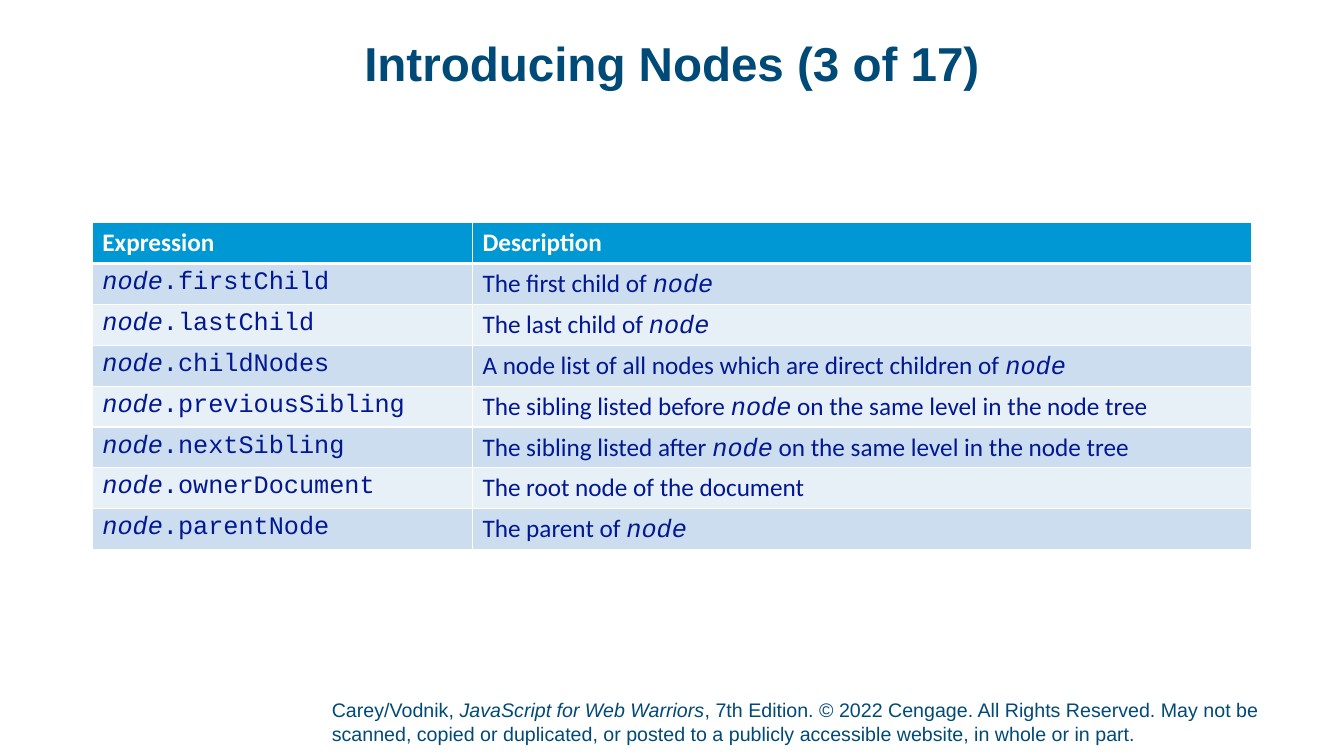
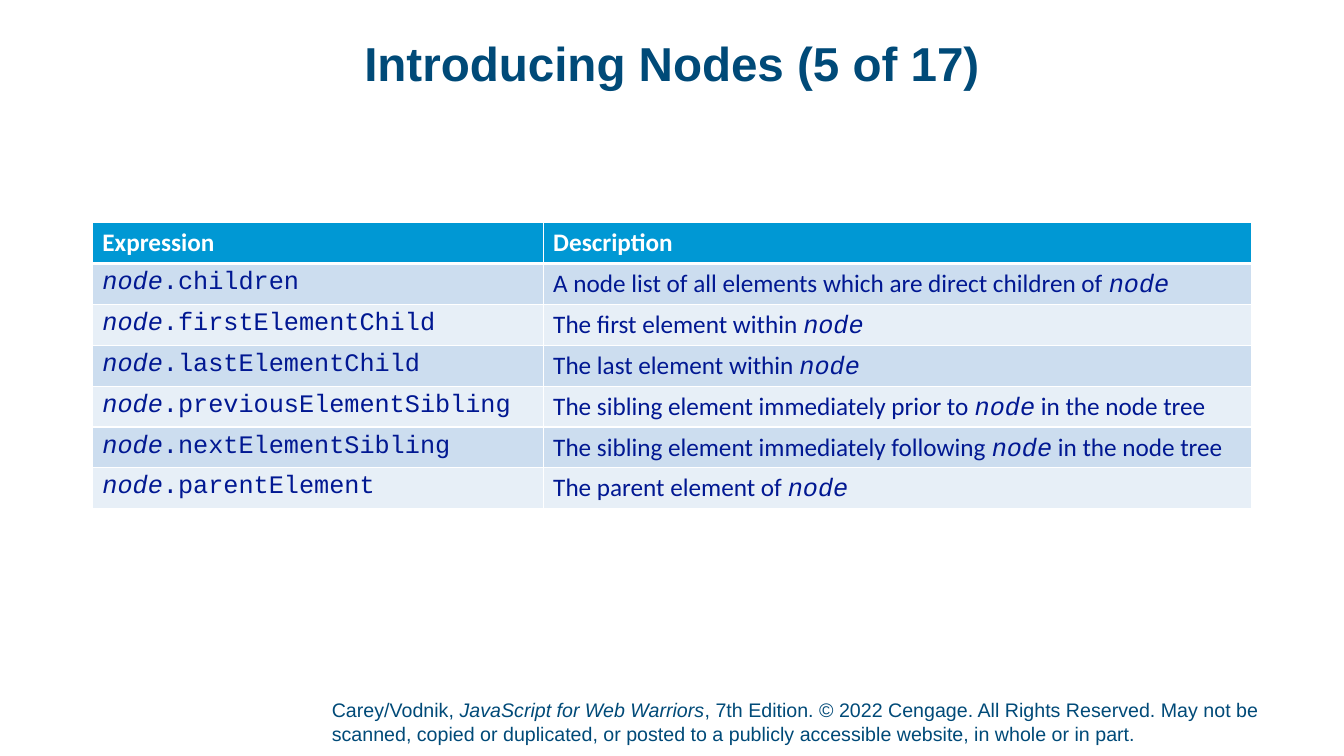
from dataclasses import dataclass

from lxml import etree
from pptx import Presentation
from pptx.dml.color import RGBColor
from pptx.enum.text import MSO_ANCHOR, MSO_AUTO_SIZE, PP_ALIGN
from pptx.oxml.ns import qn
from pptx.util import Pt

TOP, BOTTOM = MSO_ANCHOR.TOP, MSO_ANCHOR.BOTTOM
FIXED, GROW = MSO_AUTO_SIZE.NONE, MSO_AUTO_SIZE.SHAPE_TO_FIT_TEXT
CENTER = PP_ALIGN.CENTER
TITLE_ONLY = 5


@dataclass(frozen=True)
class Theme:
    """Colours, fonts, type sizes and shared margins of the slides."""

    ink: str = "004A78"
    table_ink: str = "011892"
    header: str = "0098D4"
    bands: tuple = ("CCDDEF", "E7EFF7")
    white: str = "FFFFFF"
    heading_font: str = "Arial"
    table_font: str = "Calibri"
    code_font: str = "Courier New"
    title_size: int = 34
    table_size: int = 18
    footer_size: int = 14
    left: int = 66
    width: int = 828
    row_height: float = 29.2
    thin: int = 1
    thick: int = 3


FOOTER = (
    "Carey/Vodnik, *JavaScript for Web Warriors*, 7th Edition. © 2022 Cengage. "
    "All Rights Reserved. May not be scanned, copied or duplicated, or posted to "
    "a publicly accessible website, in whole or in part."
)

SLIDES = [
    ("Introducing Nodes (3 of 17)", 271.5, [
        ("firstChild", "The first child of *node*"),
        ("lastChild", "The last child of *node*"),
        ("childNodes", "A node list of all nodes which are direct children of *node*"),
        ("previousSibling", "The sibling listed before *node* on the same level in the node tree"),
        ("nextSibling", "The sibling listed after *node* on the same level in the node tree"),
        ("ownerDocument", "The root node of the document"),
        ("parentNode", "The parent of *node*"),
    ]),
    ("Introducing Nodes (5 of 17)", 322, [
        ("children", "A node list of all elements which are direct children of *node*"),
        ("firstElementChild", "The first element within *node*"),
        ("lastElementChild", "The last element within *node*"),
        ("previousElementSibling", "The sibling element immediately prior to *node* in the node tree"),
        ("nextElementSibling", "The sibling element immediately following *node* in the node tree"),
        ("parentElement", "The parent element of *node*"),
    ]),
]


class Deck:
    """Builds slides in one style, element by element."""

    def __init__(self, theme):
        """Open an empty widescreen presentation."""
        self.theme = theme
        self.presentation = Presentation()
        self.presentation.slide_width = Pt(960)
        self.presentation.slide_height = Pt(540)
        self.slide = None

    def add_slide(self, title):
        """Start a slide with its title and footer."""
        layout = self.presentation.slide_layouts[TITLE_ONLY]
        self.slide = self.presentation.slides.add_slide(layout)
        self.add_title(title)
        self.add_footer()

    def place(self, shape, left, top, width, height):
        """Move and size a shape."""
        shape.left, shape.top = Pt(left), Pt(top)
        shape.width, shape.height = Pt(width), Pt(height)

    def set_frame(self, frame, anchor, fit, bottom=0):
        """Set the margins, anchor and fit of a text frame."""
        frame.word_wrap = True
        frame.auto_size = fit
        frame.vertical_anchor = anchor
        frame.margin_left = frame.margin_right = frame.margin_top = Pt(0)
        frame.margin_bottom = Pt(bottom)

    def add_text(self, paragraph, text, size, color, font, italic_font=None, bold=False):
        """Add text whose parts between asterisks are italic."""
        for index, part in enumerate(text.split("*")):
            if not part:
                continue
            italic = index % 2 == 1
            run = paragraph.add_run()
            run.text = part
            run.font.name = italic_font if italic and italic_font else font
            run.font.size = Pt(size)
            run.font.bold = bold
            run.font.italic = italic
            run.font.color.rgb = RGBColor.from_string(color)

    def add_title(self, text):
        """Fill the title placeholder."""
        theme = self.theme
        title = self.slide.shapes.title
        self.place(title, theme.left, 28.8, theme.width, 53.3)
        self.set_frame(title.text_frame, TOP, FIXED)
        paragraph = title.text_frame.paragraphs[0]
        paragraph.alignment = CENTER
        paragraph.line_spacing = 0.9
        self.add_text(paragraph, text, theme.title_size, theme.ink, theme.heading_font, bold=True)

    def add_footer(self):
        """Add the copyright line."""
        theme = self.theme
        box = self.slide.shapes.add_textbox(Pt(237), Pt(498.2), Pt(705), Pt(37.5))
        self.set_frame(box.text_frame, BOTTOM, GROW, bottom=3.6)
        self.add_text(box.text_frame.paragraphs[0], FOOTER, theme.footer_size, theme.ink, theme.heading_font)

    def set_cell(self, cell, fill, top, bottom):
        """Give a cell white borders and a solid fill."""
        thin = self.theme.thin
        properties = cell._tc.get_or_add_tcPr()
        for side, width in (("L", thin), ("R", thin), ("T", top), ("B", bottom)):
            line = etree.SubElement(properties, qn(f"a:ln{side}"), w=str(Pt(width)))
            solid = etree.SubElement(line, qn("a:solidFill"))
            etree.SubElement(solid, qn("a:srgbClr"), val=self.theme.white)
        cell.fill.solid()
        cell.fill.fore_color.rgb = RGBColor.from_string(fill)

    def add_table(self, first_width, entries):
        """Add a banded table of node expressions and descriptions."""
        theme = self.theme
        rows = [("Expression", "Description")]
        rows += [(f"*node*.{name}", description) for name, description in entries]
        frame = self.slide.shapes.add_table(
            len(rows), 2, Pt(theme.left), Pt(159), Pt(theme.width), Pt(theme.row_height * len(rows)))
        table = frame.table
        table.columns[0].width = Pt(first_width)
        table.columns[1].width = Pt(theme.width - first_width)
        for row_index, texts in enumerate(rows):
            table.rows[row_index].height = Pt(theme.row_height)
            header = row_index == 0
            fill = theme.header if header else theme.bands[(row_index - 1) % 2]
            color = theme.white if header else theme.table_ink
            top = theme.thick if row_index == 1 else theme.thin
            bottom = theme.thick if header else theme.thin
            for column_index, text in enumerate(texts):
                cell = table.cell(row_index, column_index)
                self.set_cell(cell, fill, top, bottom)
                code = column_index == 0 and not header
                font = theme.code_font if code else theme.table_font
                self.add_text(cell.text_frame.paragraphs[0], text, theme.table_size, color,
                              font, theme.code_font, bold=header)


def main():
    """Build and save the slides."""
    deck = Deck(Theme())
    for title, first_width, entries in SLIDES:
        deck.add_slide(title)
        deck.add_table(first_width, entries)
    deck.presentation.save("out.pptx")


if __name__ == "__main__":
    main()
